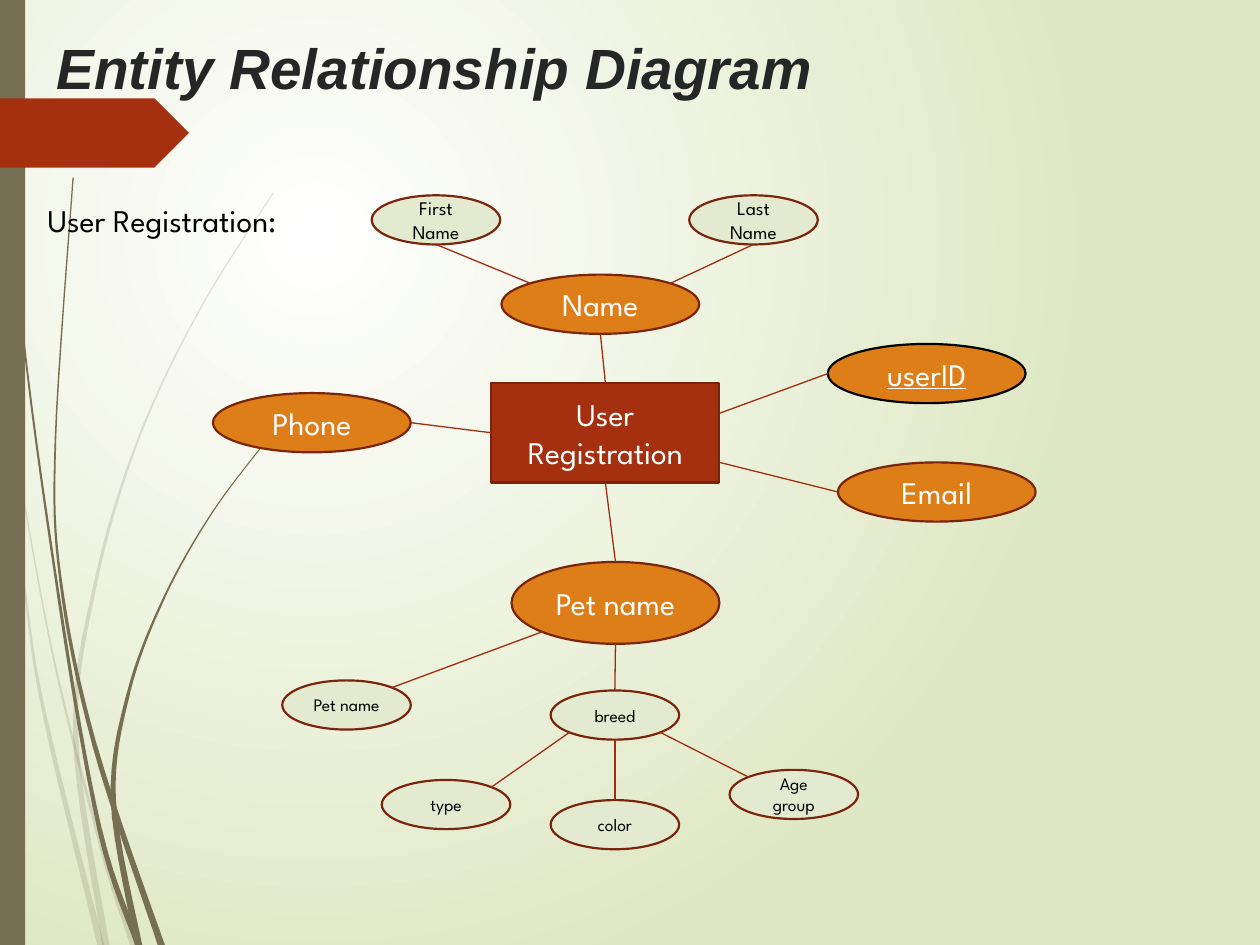
from math import sqrt

from lxml.etree import SubElement
from pptx import Presentation
from pptx.dml.color import RGBColor
from pptx.enum.shapes import MSO_CONNECTOR, MSO_SHAPE
from pptx.enum.text import MSO_ANCHOR, PP_ALIGN
from pptx.oxml.ns import qn
from pptx.util import Inches, Pt

WHITE = RGBColor(0xFF, 0xFF, 0xFF)
BLACK = RGBColor(0x00, 0x00, 0x00)
LIME = RGBColor(0xDF, 0xE8, 0xC4)
OLIVE = RGBColor(0x76, 0x6F, 0x54)
RED = RGBColor(0xA5, 0x30, 0x10)
DARK_RED = RGBColor(0x7A, 0x24, 0x0C)
LINK_RED = RGBColor(0x9E, 0x2E, 0x0F)
ORANGE = RGBColor(0xDE, 0x7E, 0x18)
PALE = RGBColor(0xE3, 0xEA, 0xCF)
CHARCOAL = RGBColor(0x26, 0x26, 0x26)
BODY_FONT = "League Spartan"

deck = Presentation()
deck.slide_width, deck.slide_height = Inches(10), Inches(7.5)
page = deck.slides.add_slide(deck.slide_layouts[6])
shapes = page.shapes


def write(shape, text, **font):
    """Put one paragraph in a shape, with the font values given."""
    frame = shape.text_frame
    frame.word_wrap = True
    para = frame.paragraphs[0]
    span = para.add_run()
    span.text = text
    span.font.color.rgb = font.pop("color")
    for name, value in font.items():
        setattr(span.font, name, value)
    return frame, para


def site(shape, across, down):
    """Point on an ellipse, in the direction (across, down) from its centre."""
    reach = sqrt(across ** 2 + down ** 2)
    return (int(shape.left + shape.width / 2 * (1 + across / reach)),
            int(shape.top + shape.height / 2 * (1 + down / reach)))


# Background: radial gradient from white
fill = page.background.fill
fill.gradient()
for stop, color, position in zip(fill.gradient_stops, (WHITE, LIME), (0, 1)):
    stop.color.rgb = color
    stop.position = position
gradient = page.element.find(".//" + qn("a:gradFill"))
gradient.remove(gradient.find(qn("a:lin")))
circle = SubElement(gradient, qn("a:path"), path="circle")
SubElement(circle, qn("a:fillToRect"), l="50000", t="50000", r="100000", b="100000")

# Grass blades: opacity in percent, then the middle line from tip to root in inches
STEPS = 8
TIP_WIDTH, ROOT_WIDTH = 0.01, 0.06
for opacity, spine in (
    (20, [(0, 2.9), (0.2, 4.7), (0.36, 5.7), (0.8, 7.5)]),
    (20, [(0.1, 3.45), (0.42, 5.2), (0.82, 6.78), (1.06, 7.5)]),
    (20, [(2.17, 1.53), (1.59, 2.45), (1.1, 3.48), (0.76, 4.62), (0.6, 5.84), (0.84, 7.5)]),
    (100, [(0.02, 0), (0.15, 2.33), (0.46, 4.7), (0.79, 6.58), (1.1, 7.5)]),
    (100, [(0.58, 1.41), (0.44, 3.49), (0.48, 4.6), (0.75, 5.91), (1.28, 7.5)]),
    (100, [(2.16, 3.44), (1.69, 4.06), (1.3, 4.75), (1.02, 5.5), (0.9, 6.35), (1.1, 7.5)]),
):
    # A smooth curve through the spine points, widened towards the root
    padded = [spine[0], *spine, spine[-1]]
    curve = []
    for before, start, end, after in zip(padded, padded[1:], padded[2:], padded[3:]):
        for step in range(STEPS + 1):
            t = step / STEPS
            curve.append([
                b + (c - a) * t / 2 + (2 * a - 5 * b + 4 * c - d) * t ** 2 / 2
                + (3 * b - a - 3 * c + d) * t ** 3 / 2
                for a, b, c, d in zip(before, start, end, after)
            ])
    left_edge, right_edge = [], []
    for index, (x, y) in enumerate(curve):
        half = (TIP_WIDTH + (ROOT_WIDTH - TIP_WIDTH) * (index / len(curve)) ** 2) / 2
        left_edge.append((Inches(max(x - half, 0)), Inches(y)))
        right_edge.append((Inches(x + half), Inches(y)))
    points = left_edge + right_edge[::-1]
    builder = shapes.build_freeform(*points[0], scale=1.0)
    builder.add_line_segments(points[1:], close=True)
    blade = builder.convert_to_shape()
    blade.shadow.inherit = False
    blade.fill.solid()
    blade.fill.fore_color.rgb = OLIVE
    blade.line.fill.background()
    if opacity < 100:
        color = blade._element.spPr.find(".//" + qn("a:srgbClr"))
        SubElement(color, qn("a:alpha"), val=str(opacity * 1000))

# Side bar and arrow tab
for kind, top, width, height, color in (
    (MSO_SHAPE.RECTANGLE, 0, 0.2, 7.5, OLIVE),
    (MSO_SHAPE.PENTAGON, 0.78, 1.5, 0.55, RED),
):
    band = shapes.add_shape(kind, 0, Inches(top), Inches(width), Inches(height))
    band.shadow.inherit = False
    band.fill.solid()
    band.fill.fore_color.rgb = color
    band.line.fill.background()

# Title and caption
title = shapes.add_textbox(Inches(0.35), Inches(0.21), Inches(9), Inches(1.08))
write(title, "Entity Relationship Diagram", name="Arial", size=Pt(32.4),
      bold=True, italic=True, color=CHARCOAL)
caption = shapes.add_textbox(Inches(0.28), Inches(1.55), Inches(2.36), Inches(0.4))
write(caption, "User Registration:", name=BODY_FONT, size=Pt(18), color=BLACK)

# Entity, attributes and sub-attributes
MAIN, SUB = (1.57, 0.47), (1.02, 0.39)
nodes = {}
for key, text, left, top, (width, height), size in (
    ("entity", "User Registration", 3.9, 3.04, (1.81, 0.79), 18),
    ("name", "Name", 3.98, 2.18, MAIN, 18),
    ("first", "First Name", 2.95, 1.55, SUB, 11),
    ("last", "Last Name", 5.47, 1.55, SUB, 11),
    ("phone", "Phone", 1.69, 3.12, MAIN, 18),
    ("pet", "Pet name", 4.06, 4.46, (1.65, 0.65), 18),
    ("pet part", "Pet name", 2.24, 5.4, SUB, 10),
    ("breed", "breed", 4.37, 5.48, SUB, 10),
    ("type", "type", 3.03, 6.19, SUB, 10),
    ("color", "color", 4.37, 6.35, SUB, 10),
    ("age", "Age group", 5.79, 6.11, SUB, 10),
    ("email", "Email", 6.65, 3.67, MAIN, 18),
    ("id", "userID", 6.57, 2.73, MAIN, 18),
):
    is_entity, is_main = key == "entity", size == 18
    kind = MSO_SHAPE.RECTANGLE if is_entity else MSO_SHAPE.OVAL
    node = shapes.add_shape(kind, Inches(left), Inches(top), Inches(width), Inches(height))
    node.shadow.inherit = False
    node.fill.solid()
    node.fill.fore_color.rgb = RED if is_entity else ORANGE if is_main else PALE
    node.line.color.rgb = BLACK if key == "id" else DARK_RED
    node.line.width = Pt(1.25)
    frame, para = write(node, text, name=BODY_FONT, size=Pt(size),
                        underline=key == "id" or None, color=WHITE if is_main else BLACK)
    frame.vertical_anchor = MSO_ANCHOR.MIDDLE
    para.alignment = PP_ALIGN.CENTER
    nodes[key] = node

# Links: start node and direction, then end node and direction;
# for the entity a side number, or a height on its right edge
UP, DOWN, LEFT, RIGHT = (0, -1), (0, 1), (-1, 0), (1, 0)
UP_LEFT, UP_RIGHT, DOWN_LEFT, DOWN_RIGHT = (-1, -1), (1, -1), (-1, 1), (1, 1)
entity = nodes["entity"]
for start, start_way, end, end_way in (
    ("phone", RIGHT, "entity", 1),
    ("name", DOWN, "entity", 0),
    ("pet", UP, "entity", 2),
    ("id", LEFT, "entity", 3.28),
    ("email", LEFT, "entity", 3.67),
    ("first", DOWN, "name", UP_LEFT),
    ("last", DOWN, "name", UP_RIGHT),
    ("pet part", UP_RIGHT, "pet", DOWN_LEFT),
    ("breed", UP, "pet", DOWN),
    ("type", UP_RIGHT, "breed", DOWN_LEFT),
    ("color", UP, "breed", DOWN),
    ("age", UP_LEFT, "breed", DOWN_RIGHT),
):
    begin = site(nodes[start], *start_way)
    if end == "entity":
        finish = (entity.left + entity.width, Inches(end_way))
    else:
        finish = site(nodes[end], *end_way)
    link = shapes.add_connector(MSO_CONNECTOR.STRAIGHT, *begin, *finish)
    if isinstance(end_way, int):
        link.end_connect(entity, end_way)
    link.line.color.rgb = LINK_RED
    link.line.width = Pt(0.75)
    SubElement(link._element.spPr, qn("a:effectLst"))

deck.save("out.pptx")
